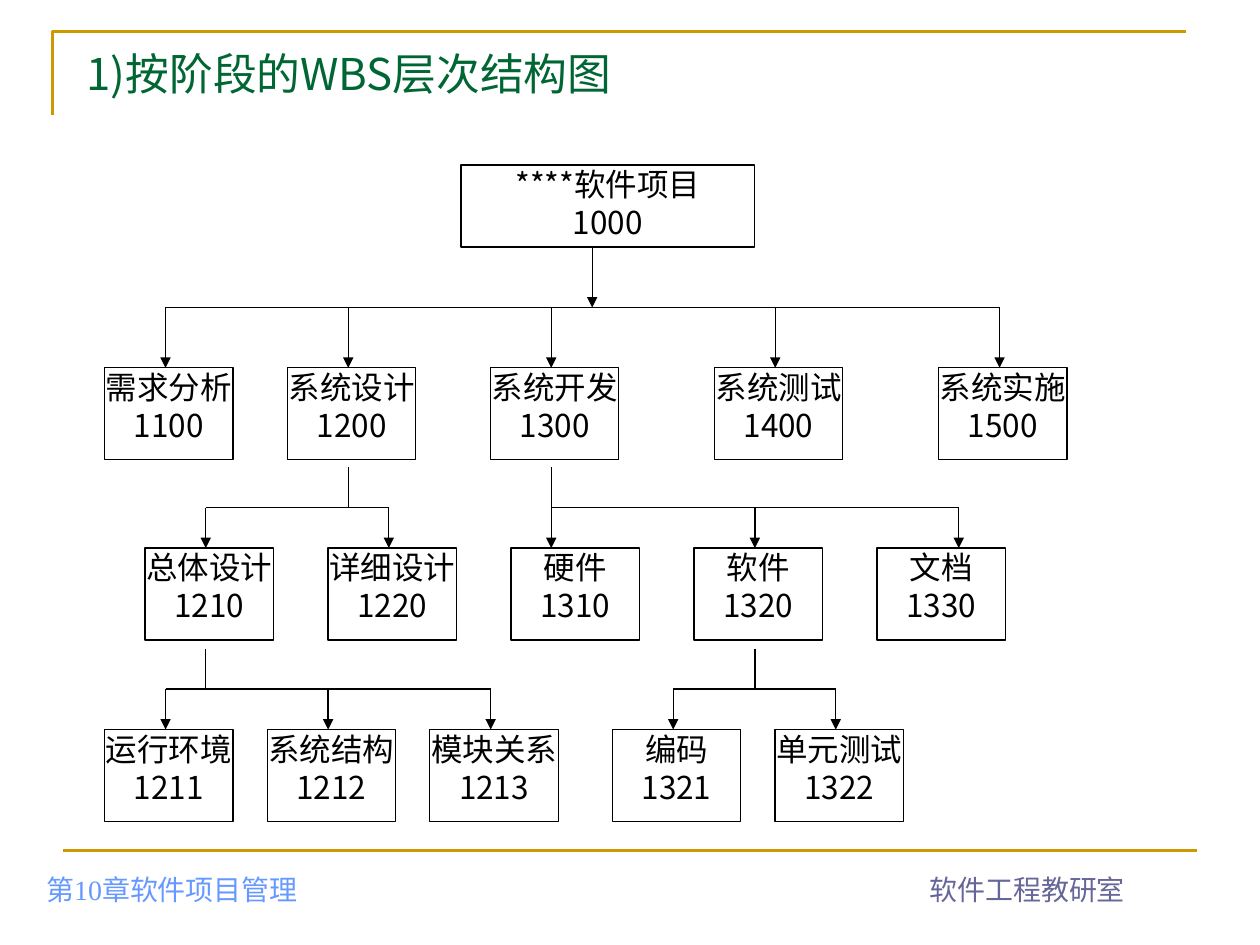
from lxml import etree
from pptx import Presentation
from pptx.dml.color import RGBColor
from pptx.enum.shapes import MSO_CONNECTOR, MSO_SHAPE
from pptx.enum.text import MSO_ANCHOR, PP_ALIGN
from pptx.oxml.ns import qn
from pptx.util import Pt

RECT = MSO_SHAPE.RECTANGLE
STRAIGHT = MSO_CONNECTOR.STRAIGHT
LEFT, CENTER = PP_ALIGN.LEFT, PP_ALIGN.CENTER
TOP, MIDDLE, BOTTOM = MSO_ANCHOR.TOP, MSO_ANCHOR.MIDDLE, MSO_ANCHOR.BOTTOM

COLORS = {
    "rule": "CC9900",
    "title": "006633",
    "chapter": "6699FF",
    "office": "666699",
    "ink": "000000",
    "paper": "FFFFFF",
}
SANS, SERIF = "Noto Sans CJK SC", "Times New Roman"

BOX_W, BOX_H = 73.4, 52.6
PORT = 34.8
PHASE_Y, PART_Y, TASK_Y = 210.2, 313.2, 416.9
PHASE_X = [59.8, 164.2, 280.2, 408.2, 536.4]
PART_X = [82.8 + 104.6 * i for i in range(5)]
TASK_X = [left + 92.9 * i for left, n in ((59.8, 3), (349.9, 2)) for i in range(n)]

LEVELS = [
    (PHASE_Y, PHASE_X, [("需求分析", "1100"), ("系统设计", "1200"), ("系统开发", "1300"),
                        ("系统测试", "1400"), ("系统实施", "1500")]),
    (PART_Y, PART_X, [("总体设计", "1210"), ("详细设计", "1220"), ("硬件", "1310"),
                      ("软件", "1320"), ("文档", "1330")]),
    (TASK_Y, TASK_X, [("运行环境", "1211"), ("系统结构", "1212"), ("模块关系", "1213"),
                      ("编码", "1321"), ("单元测试", "1322")]),
]


def ports(lefts):
    return [left + PORT for left in lefts]


class Deck:
    def __init__(self, prs):
        self.s = prs.slides.add_slide(prs.slide_layouts[6])

    def color(self, name):
        return RGBColor.from_string(COLORS[name])

    def stroke(self, line, name, width):
        line.color.rgb = self.color(name)
        line.width = Pt(width)

    def set_text(self, sp, lines, size, font, color, align, anchor, pitch=None):
        tf = sp.text_frame
        tf.word_wrap = True
        tf.vertical_anchor = anchor
        tf.text = "\n".join(lines)
        for p in tf.paragraphs:
            p.alignment = align
            if pitch:
                p.line_spacing = Pt(pitch)
            for r in p.runs:
                r.font.size = Pt(size)
                r.font.name = font
                r.font.color.rgb = self.color(color)
                etree.SubElement(r.font._element, qn("a:ea")).set("typeface", SANS)

    def text(self, x, y, w, h, text, size, font, color, align=LEFT, anchor=BOTTOM):
        sp = self.s.shapes.add_textbox(Pt(x), Pt(y), Pt(w), Pt(h))
        self.set_text(sp, [text], size, font, color, align, anchor)

    def box(self, x, y, w, h, lines):
        sp = self.s.shapes.add_shape(RECT, Pt(x), Pt(y), Pt(w), Pt(h))
        sp.shadow.inherit = False
        sp.fill.solid()
        sp.fill.fore_color.rgb = self.color("paper")
        self.stroke(sp.line, "ink", 0.75)
        tf = sp.text_frame
        tf.margin_left = tf.margin_right = tf.margin_top = tf.margin_bottom = 0
        self.set_text(sp, lines, 18, SANS, "ink", CENTER, TOP, 21.7)

    def line(self, x1, y1, x2, y2, arrow=False, color="ink", width=0.75):
        c = self.s.shapes.add_connector(STRAIGHT, Pt(x1), Pt(y1), Pt(x2), Pt(y2))
        self.stroke(c.line, color, width)
        sp_pr = c._element.spPr
        if arrow:
            etree.SubElement(sp_pr.find(qn("a:ln")), qn("a:tailEnd")).set("type", "triangle")
        etree.SubElement(sp_pr, qn("a:effectLst"))

    def corner(self, x1, y1, x2, y2):
        fb = self.s.shapes.build_freeform(Pt(x1), Pt(y2))
        fb.add_line_segments([(Pt(x1), Pt(y1)), (Pt(x2), Pt(y1))], close=False)
        sp = fb.convert_to_shape()
        sp.shadow.inherit = False
        sp.fill.background()
        self.stroke(sp.line, "rule", 1.5)

    def branch(self, stem_x, stem_y, bus_y, child_y, child_xs, stem_arrow=False):
        self.line(child_xs[0], bus_y, child_xs[-1], bus_y)
        if stem_x not in child_xs:
            self.line(stem_x, stem_y, stem_x, bus_y, stem_arrow)
        for x in child_xs:
            self.line(x, stem_y if x == stem_x else bus_y, x, child_y, True)


def main():
    prs = Presentation()
    prs.slide_width, prs.slide_height = Pt(720), Pt(540)
    deck = Deck(prs)

    deck.corner(30, 18, 678, 66)
    deck.line(36, 486, 684, 486, color="rule", width=1.5)
    deck.text(19.4, 485.3, 283.7, 36, "第10章软件项目管理", 16, SERIF, "chapter")
    deck.text(473, 485.3, 228.2, 36, "软件工程教研室", 16, SERIF, "office", CENTER)
    deck.text(42.5, 28, 532.8, 28, "1)按阶段的WBS层次结构图", 25, SANS, "title", anchor=MIDDLE)

    deck.box(263.5, 94.3, 167.8, 46.8, ["****软件项目", "1000"])
    for y, lefts, labels in LEVELS:
        for x, lines in zip(lefts, labels):
            deck.box(x, y, BOX_W, BOX_H, lines)

    phases, parts, tasks = ports(PHASE_X), ports(PART_X), ports(TASK_X)
    build = phases[2]
    deck.branch(338.4, 141.1, 175.7, PHASE_Y, phases, True)
    deck.branch(phases[1], 267.1, 290.2, PART_Y, parts[:2])
    deck.branch(build, 267.1, 290.2, PART_Y, [build, parts[3], 547.9])
    deck.branch(parts[0], 370.8, 393.8, TASK_Y, tasks[:3])
    deck.branch(parts[3], 370.8, 393.8, TASK_Y, tasks[3:])

    prs.save("out.pptx")


if __name__ == "__main__":
    main()
